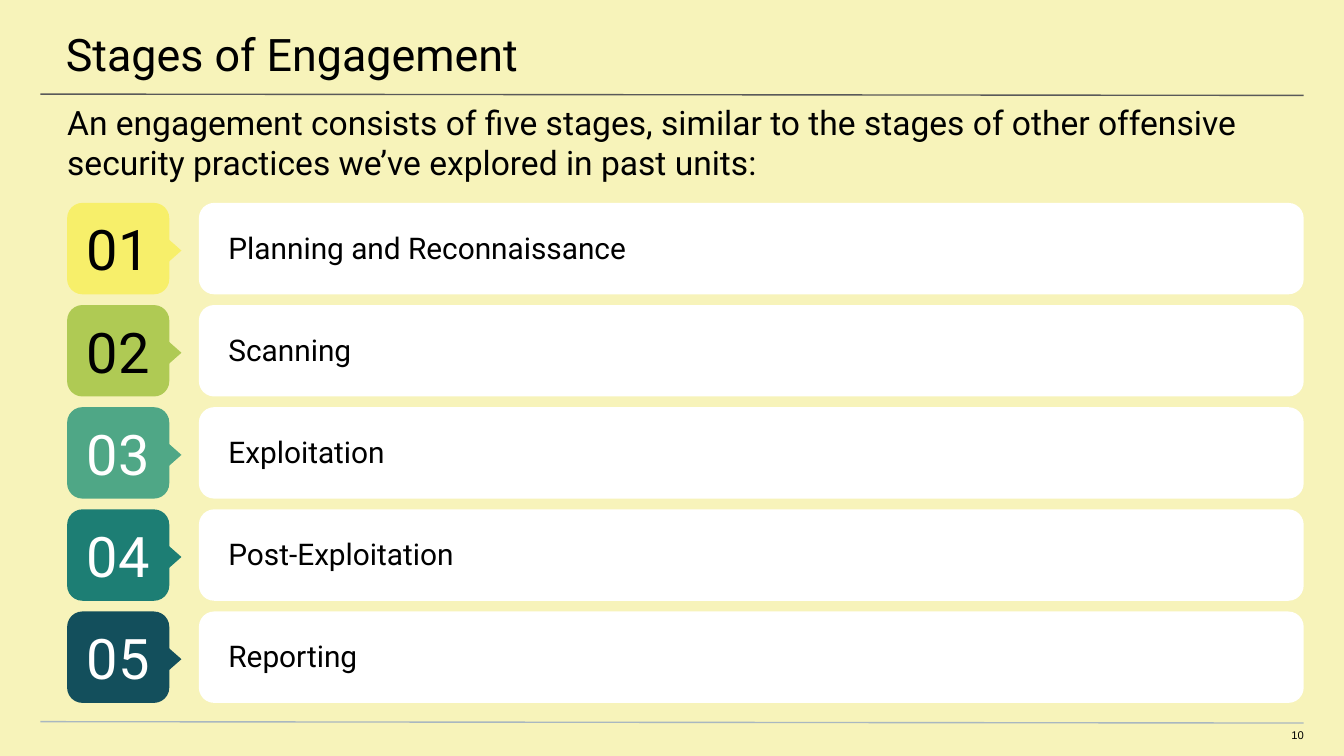
from dataclasses import dataclass

from lxml import etree
from pptx import Presentation
from pptx.dml.color import RGBColor
from pptx.enum import shapes, text
from pptx.oxml.ns import qn
from pptx.util import Inches, Pt


@dataclass(frozen=True)
class Theme:
    background: str = "F7F3BA"
    ink: str = "000000"
    white: str = "FFFFFF"
    header_rule: str = "595959"
    footer_rule: str = "A9B7C0"
    font: str = "Roboto"
    number_font: str = "Arial"
    title: int = 24
    intro: int = 18
    label: int = 16
    badge: int = 30
    page: int = 6


THEME = Theme()

# Stage name, badge colour, badge number colour
STAGES = [
    ("Planning and Reconnaissance", "F7EF6A", THEME.ink),
    ("Scanning", "AFCA54", THEME.ink),
    ("Exploitation", "4FA786", THEME.white),
    ("Post-Exploitation", "1D7E74", THEME.white),
    ("Reporting", "134F5C", THEME.white),
]
FIRST_TOP, ROW_PITCH, ROW_HEIGHT = 1.51, 0.76, 0.68


def rgb(value):
    return RGBColor.from_string(value)


def write(sp, content, size, color=THEME.ink, font=THEME.font,
          align=text.PP_ALIGN.LEFT, anchor=text.MSO_ANCHOR.TOP,
          insets=(0.1, 0.1, 0.1, 0.1)):
    """Fill a shape with one paragraph; insets are left, top, right, bottom."""
    tf = sp.text_frame
    left, top, right, bottom = map(Inches, insets)
    frame = {"word_wrap": True, "vertical_anchor": anchor,
             "margin_left": left, "margin_top": top,
             "margin_right": right, "margin_bottom": bottom}
    for name, value in frame.items():
        setattr(tf, name, value)
    p = tf.paragraphs[0]
    p.alignment = align
    r = p.add_run()
    r.text = content
    for name, value in {"name": font, "size": Pt(size)}.items():
        setattr(r.font, name, value)
    r.font.color.rgb = rgb(color)


def add_text(s, box, content, size, **style):
    sp = s.shapes.add_textbox(*map(Inches, box))
    write(sp, content, size, **style)


def add_block(s, kind, box, fill):
    sp = s.shapes.add_shape(kind, *map(Inches, box))
    sp.shadow.inherit = False
    sp.fill.solid()
    sp.fill.fore_color.rgb = rgb(fill)
    sp.line.fill.background()
    return sp


def add_rule(s, y, color):
    line = s.shapes.add_connector(
        shapes.MSO_CONNECTOR.STRAIGHT,
        Inches(0.3), Inches(y), Inches(9.7), Inches(y + 0.01))
    line.line.width = Pt(0.75)
    line.line.color.rgb = rgb(color)
    etree.SubElement(line._element.spPr, qn("a:effectLst"))


def add_stage(s, index, name, fill, number_color):
    """Draw one row: numbered badge with pointer, white bar and stage name."""
    top = FIRST_TOP + index * ROW_PITCH
    rounded = shapes.MSO_SHAPE.ROUNDED_RECTANGLE
    add_block(s, rounded, (1.48, top, 8.22, ROW_HEIGHT), THEME.white)
    badge = add_block(s, rounded, (0.5, top, 0.76, ROW_HEIGHT), fill)
    write(badge, f"{index + 1:02d}", THEME.badge, color=number_color,
          align=text.PP_ALIGN.CENTER, anchor=text.MSO_ANCHOR.MIDDLE)
    pointer = add_block(s, shapes.MSO_SHAPE.FLOWCHART_EXTRACT,
                        (1.06, top + 0.25, 0.37, 0.21), fill)
    pointer.rotation = 90
    add_text(s, (0, top, 10.03, 0.66), name, THEME.label,
             anchor=text.MSO_ANCHOR.MIDDLE, insets=(1.7, 0, 0.5, 0))


def main():
    prs = Presentation()
    prs.slide_width = Inches(10)
    prs.slide_height = prs.slide_width * 9 // 16
    s = prs.slides.add_slide(prs.slide_layouts[6])
    s.background.fill.solid()
    s.background.fill.fore_color.rgb = rgb(THEME.background)

    add_rule(s, 0.7, THEME.header_rule)
    add_rule(s, 5.37, THEME.footer_rule)
    add_text(s, (-0.01, 0, 10.03, 0.58), "Stages of Engagement", THEME.title,
             insets=(0.5, 0.2, 0.3, 0.1))
    add_text(s, (0, 0.66, 10, 0.4),
             "An engagement consists of five stages, similar to the stages of "
             "other offensive security practices we’ve explored in past units:",
             THEME.intro, insets=(0.5, 0.1, 0.5, 0))
    add_text(s, (9.41, 5.42, 0.29, 0.12), "10", THEME.page,
             font=THEME.number_font, align=text.PP_ALIGN.RIGHT,
             insets=(0, 0, 0, 0.1))
    for index, stage in enumerate(STAGES):
        add_stage(s, index, *stage)

    prs.save("out.pptx")


if __name__ == "__main__":
    main()
